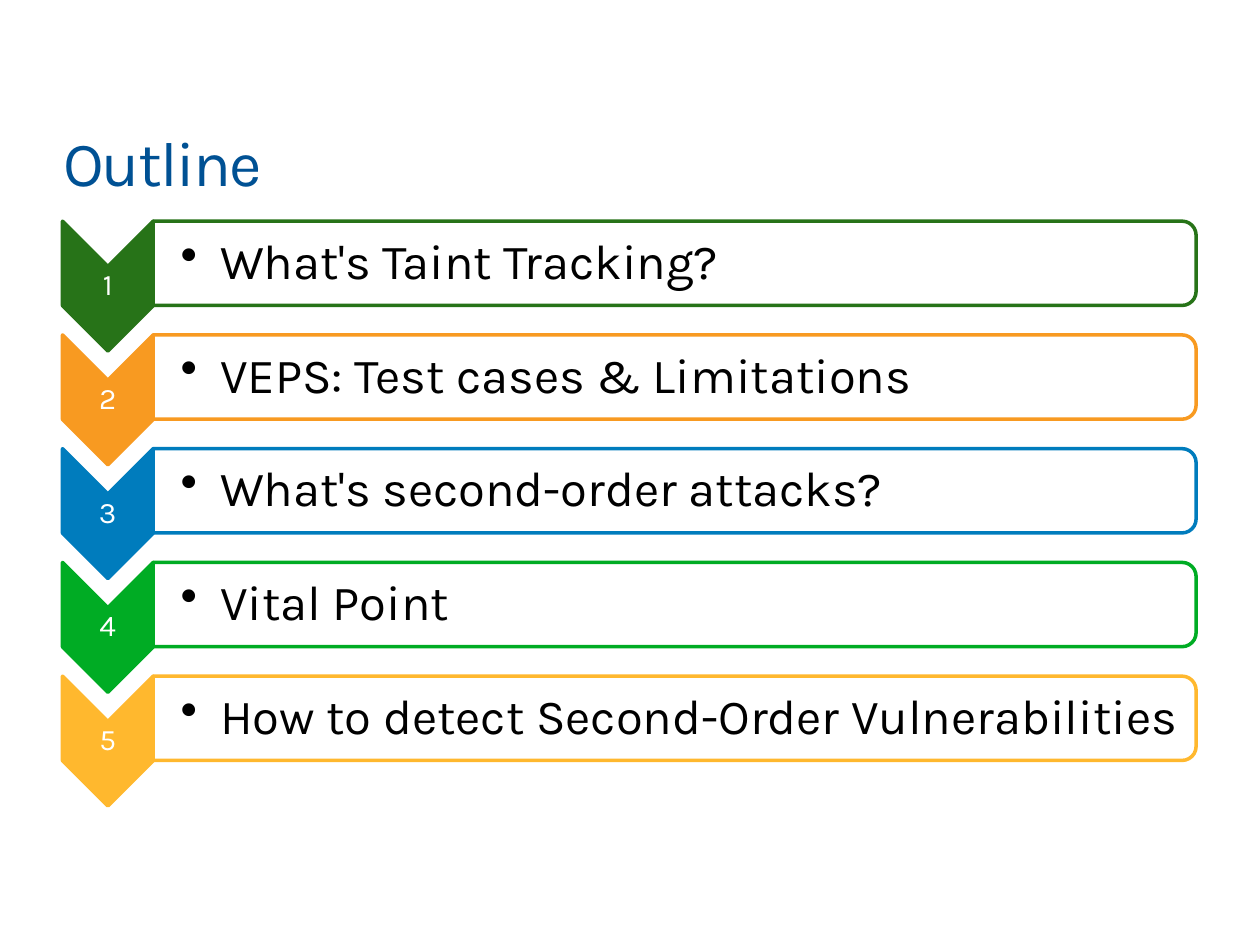
from dataclasses import dataclass

from pptx import Presentation
from pptx.dml.color import RGBColor
from pptx.enum.shapes import MSO_SHAPE
from pptx.enum.text import MSO_ANCHOR, MSO_AUTO_SIZE, PP_ALIGN
from pptx.oxml.ns import qn
from pptx.util import Pt
from lxml.etree import SubElement

FONT = "Karla"
BLACK = RGBColor(0x00, 0x00, 0x00)
WHITE = RGBColor(0xFF, 0xFF, 0xFF)
NAVY = RGBColor(0x00, 0x51, 0x94)
DARK_GREEN = RGBColor(0x27, 0x73, 0x18)
ORANGE = RGBColor(0xF8, 0x9A, 0x21)
BLUE = RGBColor(0x00, 0x7C, 0xBD)
GREEN = RGBColor(0x00, 0xAC, 0x24)
AMBER = RGBColor(0xFF, 0xB8, 0x2E)

# Layout in points
FIRST_TOP, PITCH = 126.4, 65
CHEVRON_LEFT, CHEVRON_W, CHEVRON_H = 35.7, 51.8, 74.2
BAR_LEFT, BAR_W, BAR_H = 87.5, 596, 48.2
LABEL_H = 22.3
INDENT = 22.5


@dataclass
class Topic:
    text: str
    color: RGBColor


TOPICS = [
    Topic("What's Taint Tracking?", DARK_GREEN),
    Topic("VEPS: Test cases & Limitations", ORANGE),
    Topic("What's second-order attacks?", BLUE),
    Topic("Vital Point", GREEN),
    Topic("How to detect Second-Order Vulnerabilities", AMBER),
]


def write(sp, text: str, *, size: float, color: RGBColor, align=PP_ALIGN.LEFT,
          anchor=MSO_ANCHOR.MIDDLE, inset: float = 0, left_inset: float = 0,
          line_spacing: float = 0.9):
    """Fill a shape with one formatted paragraph and return it."""
    tf = sp.text_frame
    tf.word_wrap = True
    tf.vertical_anchor = anchor
    tf.margin_left = Pt(left_inset or inset)
    tf.margin_top = tf.margin_right = tf.margin_bottom = Pt(inset)
    p = tf.paragraphs[0]
    p.alignment = align
    p.line_spacing = line_spacing
    r = p.add_run()
    r.text = text
    r.font.name = FONT
    r.font.size = Pt(size)
    r.font.color.rgb = color
    return p


def add_bullet(p) -> None:
    pPr = p._p.get_or_add_pPr()
    pPr.set("marL", str(Pt(INDENT)))
    pPr.set("indent", str(-Pt(INDENT)))
    SubElement(pPr, qn("a:buChar")).set("char", "•")


def add_turned(s, kind, left: float, top: float, width: float, height: float,
               fill: RGBColor, line: RGBColor):
    """Add a shape turned by 90 degrees that covers the given visible box."""
    shift = (width - height) / 2
    sp = s.shapes.add_shape(kind, Pt(left + shift), Pt(top - shift), Pt(height), Pt(width))
    sp.rotation = 90
    sp.shadow.inherit = False
    sp.fill.solid()
    sp.fill.fore_color.rgb = fill
    sp.line.color.rgb = line
    sp.line.width = Pt(2)
    return sp


def add_topic(s, number: int, topic: Topic, top: float) -> None:
    # Numbered chevron
    add_turned(s, MSO_SHAPE.CHEVRON, CHEVRON_LEFT, top, CHEVRON_W, CHEVRON_H,
               topic.color, topic.color)
    label = s.shapes.add_textbox(Pt(CHEVRON_LEFT), Pt(top + CHEVRON_W / 2),
                                 Pt(CHEVRON_W), Pt(LABEL_H))
    write(label, str(number), size=17, color=WHITE, align=PP_ALIGN.CENTER, inset=0.8)

    # Bar with its bullet
    bar = add_turned(s, MSO_SHAPE.ROUND_2_SAME_RECTANGLE, BAR_LEFT, top, BAR_W, BAR_H,
                     WHITE, topic.color)
    color = bar.fill._xPr.find(qn("a:solidFill"))[0]
    SubElement(color, qn("a:alpha")).set("val", "90000")
    box = s.shapes.add_textbox(Pt(BAR_LEFT), Pt(top + 2), Pt(BAR_W - 2.5), Pt(BAR_H - 4))
    add_bullet(write(box, topic.text, size=28, color=BLACK, inset=1.3, left_inset=15.7))


def main() -> None:
    prs = Presentation()
    prs.slide_width, prs.slide_height = Pt(720), Pt(540)
    s = prs.slides.add_slide(prs.slide_layouts[5])

    # Title
    title = s.shapes.title
    title.left, title.top, title.width, title.height = Pt(36), Pt(70.5), Pt(648), Pt(44)
    p = write(title, "Outline", size=36, color=NAVY, anchor=MSO_ANCHOR.TOP, line_spacing=1.0)
    p.runs[0].font._element.set("spc", "-100")
    title.text_frame.auto_size = MSO_AUTO_SIZE.SHAPE_TO_FIT_TEXT

    # Topics
    for i, topic in enumerate(TOPICS):
        add_topic(s, i + 1, topic, FIRST_TOP + i * PITCH)

    prs.save("out.pptx")


if __name__ == "__main__":
    main()
